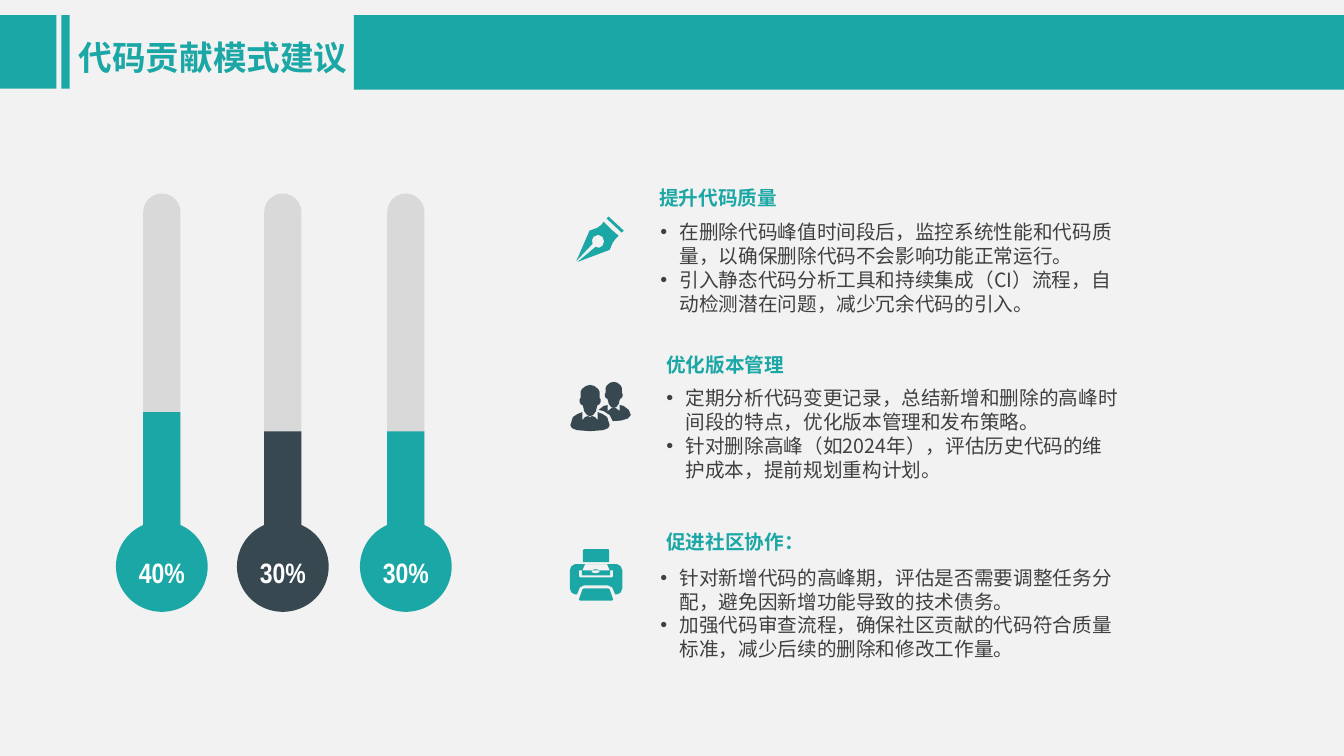
from math import cos, pi, sin

from lxml import etree
from pptx import Presentation
from pptx import util as u
from pptx.dml.color import RGBColor
from pptx.enum import shapes, text
from pptx.oxml.ns import qn

TEAL, DARK, GREY, PALE = "1BA7A5", "374851", "D9D9D9", "F2F2F2"
INK, WHITE = "404040", "FFFFFF"
SANS, NARROW = "Noto Sans CJK SC", "Arial Narrow"
KIND = shapes.MSO_SHAPE

TUBES = [(1.42, 1.4, TEAL, "40%"), (2.62, 1.21, DARK, "30%"), (3.84, 1.21, TEAL, "30%")]
TOPICS = [
    ("提升代码质量", (6.44, 1.68), (6.45, 2.13, 4.78, 0.91),
     ["在删除代码峰值时间段后，监控系统性能和代码质量，以确保删除代码不会影响功能正常运行。",
      "引入静态代码分析工具和持续集成（CI）流程，自动检测潜在问题，减少冗余代码的引入。"]),
    ("优化版本管理", (6.51, 3.34), (6.51, 3.78, 4.71, 0.91),
     ["定期分析代码变更记录，总结新增和删除的高峰时间段的特点，优化版本管理和发布策略。",
      "针对删除高峰（如2024年），评估历史代码的维护成本，提前规划重构计划。"]),
    ("促进社区协作：", (6.51, 5.09), (6.45, 5.56, 4.78, 0.91),
     ["针对新增代码的高峰期，评估是否需要调整任务分配，避免因新增功能导致的技术债务。",
      "加强代码审查流程，确保社区贡献的代码符合质量标准，减少后续的删除和修改工作量。"]),
]

NIB = [(608, 229), (605, 226), (599, 220), (597, 223), (593, 226), (585, 229),
       (572, 259), (588, 242), (587.5, 238), (589, 235), (593.5, 233), (598, 235),
       (599.5, 239.5), (598, 244), (594.5, 246), (591, 245), (573, 260), (605, 248),
       (608, 241), (611, 237), (614, 234)]
CAP = [(604, 215), (619, 229), (617, 231), (602, 217)]
HEAD = [(0, 0), (4, 1), (8, 4), (9.5, 7), (9.5, 13), (10.5, 14), (10.5, 17),
        (9, 19.5), (7.5, 20), (6.5, 23), (6, 26), (3, 30), (0, 31)]
BUST = [(0, 32), (2, 31), (5, 32), (7.5, 35), (7.5, 27), (12.5, 29), (17, 32),
        (19.5, 40), (18, 43), (13, 45), (0, 46)]
BEHIND = [(626, 412), (623, 415.5), (616, 417.5), (608, 418), (605, 412), (599, 408),
          (594, 407), (599, 403), (603, 402), (603, 408), (607, 405), (611, 405),
          (615, 408), (615, 402), (619, 403), (624, 407)]
LID = [(0, 545), (12, 545), (13, 546), (13, 558), (0, 558)]
TRAY = [(0, 584), (12, 584), (13.5, 585), (17, 595), (16, 596), (0, 596)]
PANEL = [(0, 560), (11, 560), (14, 567), (14, 571), (0, 571)]
CASE = [(14, 560), (21, 560), (24.5, 562), (26, 566), (26, 584), (24.5, 588),
        (21, 590), (19, 590), (16, 583), (12, 581), (0, 581), (0, 573), (16, 573),
        (17, 572), (17, 566)]


def rgb(code):
    """Turn a hex string into a colour."""
    return RGBColor.from_string(code)


def place(item, box):
    """Set left, top, width and height in inches."""
    item.left, item.top, item.width, item.height = map(u.Inches, box)


def paint(item, code):
    """Give a flat fill without line or shadow."""
    item.fill.solid()
    item.fill.fore_color.rgb = rgb(code)
    item.line.fill.background()
    item.shadow.inherit = False


def block(slide, kind, box, code):
    """Add a flat preset shape."""
    item = slide.shapes.add_shape(kind, *map(u.Inches, box))
    paint(item, code)
    return item


def draw(slide, code, *loops):
    """Add an outline of closed loops given in hundredths of an inch."""
    fine = [[(x * 10, y * 10) for x, y in loop] for loop in loops]
    pen = slide.shapes.build_freeform(*fine[0][0], scale=u.Inches(0.001))
    for num, loop in enumerate(fine):
        if num:
            pen.move_to(*loop[0])
        pen.add_line_segments(loop[1:], close=True)
    paint(pen.convert_to_shape(), code)


def mirror(half, mid, top=0, scale=1):
    """Complete a half outline about a vertical axis."""
    right = [(mid + x * scale, top + y * scale) for x, y in half]
    return right + [(2 * mid - x, y) for x, y in reversed(right)]


def oval(x, y, wide, high):
    """List the points of an ellipse."""
    turns = [2 * pi * n / 24 for n in range(24)]
    return [(x + wide * cos(t), y + high * sin(t)) for t in turns]


def style(para, size, code, face=SANS, bold=False, space=None, align=text.PP_ALIGN.LEFT):
    """Format a whole paragraph."""
    para.alignment = align
    para.line_spacing = space
    para.space_before = u.Pt(0)
    font = para.font
    font.size, font.bold, font.name = u.Pt(size), bold, face
    font.color.rgb = rgb(code)
    props = para._p.pPr.find(qn("a:defRPr"))
    etree.SubElement(props, qn("a:ea")).set("typeface", face)


def bullet(para):
    """Hang a round bullet on a paragraph."""
    props = para._p.get_or_add_pPr()
    props.set("marL", str(u.Inches(0.19)))
    props.set("indent", str(-u.Inches(0.19)))
    etree.SubElement(props, qn("a:buFont")).set("typeface", "Arial")
    etree.SubElement(props, qn("a:buChar")).set("char", "•")


def frame(item, box, lines, anchor):
    """Place a text holder and fill in its lines."""
    place(item, box)
    body = item.text_frame
    body.text = "\n".join(lines)
    body.word_wrap = True
    body.auto_size = text.MSO_AUTO_SIZE.NONE
    body.vertical_anchor = anchor
    return body.paragraphs


def label(slide, box, words, anchor=text.MSO_ANCHOR.MIDDLE):
    """Add a one-line text box and return its paragraph."""
    item = slide.shapes.add_textbox(*map(u.Inches, box))
    return frame(item, box, [words], anchor)[0]


def gauge(slide, left, level, code, words):
    """Draw one thermometer with its share."""
    base = 5.49
    tube = block(slide, KIND.ROUND_2_SAME_RECTANGLE, (left, 1.92, 0.37, base - 1.92), GREY)
    tube.adjustments[0] = 0.5
    block(slide, KIND.RECTANGLE, (left, base - level, 0.37, level), code)
    block(slide, KIND.OVAL, (left - 0.27, 5.17, 0.91, 0.9), code)
    para = label(slide, (left - 0.31, 5.3, 0.99, 0.6), words, text.MSO_ANCHOR.TOP)
    style(para, 20, WHITE, NARROW, True, 1.5, text.PP_ALIGN.CENTER)


def topic(slide, holder, title, spot, box, lines):
    """Write one heading and its list."""
    style(label(slide, (*spot, 2.13, 0.45), title), 14, TEAL, bold=True, space=u.Pt(25))
    for para in frame(holder, box, lines, text.MSO_ANCHOR.TOP):
        bullet(para)
        style(para, 14, INK, space=u.Pt(17))


def icons(slide):
    """Draw the pen, the people and the printer."""
    draw(slide, TEAL, NIB)
    draw(slide, TEAL, CAP)
    draw(slide, DARK, BEHIND)
    draw(slide, DARK, mirror(HEAD, 609, 379, 0.84))
    draw(slide, DARK, mirror(BUST, 585.5, 382))
    draw(slide, DARK, mirror(HEAD, 585.5, 382))
    parts = [mirror(half, 591.5) for half in (LID, TRAY, PANEL, CASE)]
    draw(slide, TEAL, *parts, oval(591, 567, 4, 2))


def main():
    """Build the slide."""
    deck = Presentation()
    deck.slide_width, deck.slide_height = u.Inches(13.33), u.Inches(7.5)
    slide = deck.slides.add_slide(deck.slide_layouts[4])
    slide.background.fill.solid()
    slide.background.fill.fore_color.rgb = rgb(PALE)
    for left, wide, high in [(0, 0.56, 0.73), (0.61, 0.08, 0.73), (3.51, 9.82, 0.74)]:
        block(slide, KIND.RECTANGLE, (left, 0.15, wide, high), TEAL)
    title, *holders = slide.placeholders
    head = frame(title, (0.68, 0.2, 3.12, 0.66), ["代码贡献模式建议"], text.MSO_ANCHOR.MIDDLE)
    style(head[0], 24, TEAL, bold=True, space=u.Pt(34.5))
    for holder, entry in zip(holders, TOPICS):
        topic(slide, holder, *entry)
    spare = holders[-1].element
    spare.getparent().remove(spare)
    icons(slide)
    for tube in TUBES:
        gauge(slide, *tube)
    deck.save("out.pptx")


if __name__ == "__main__":
    main()
